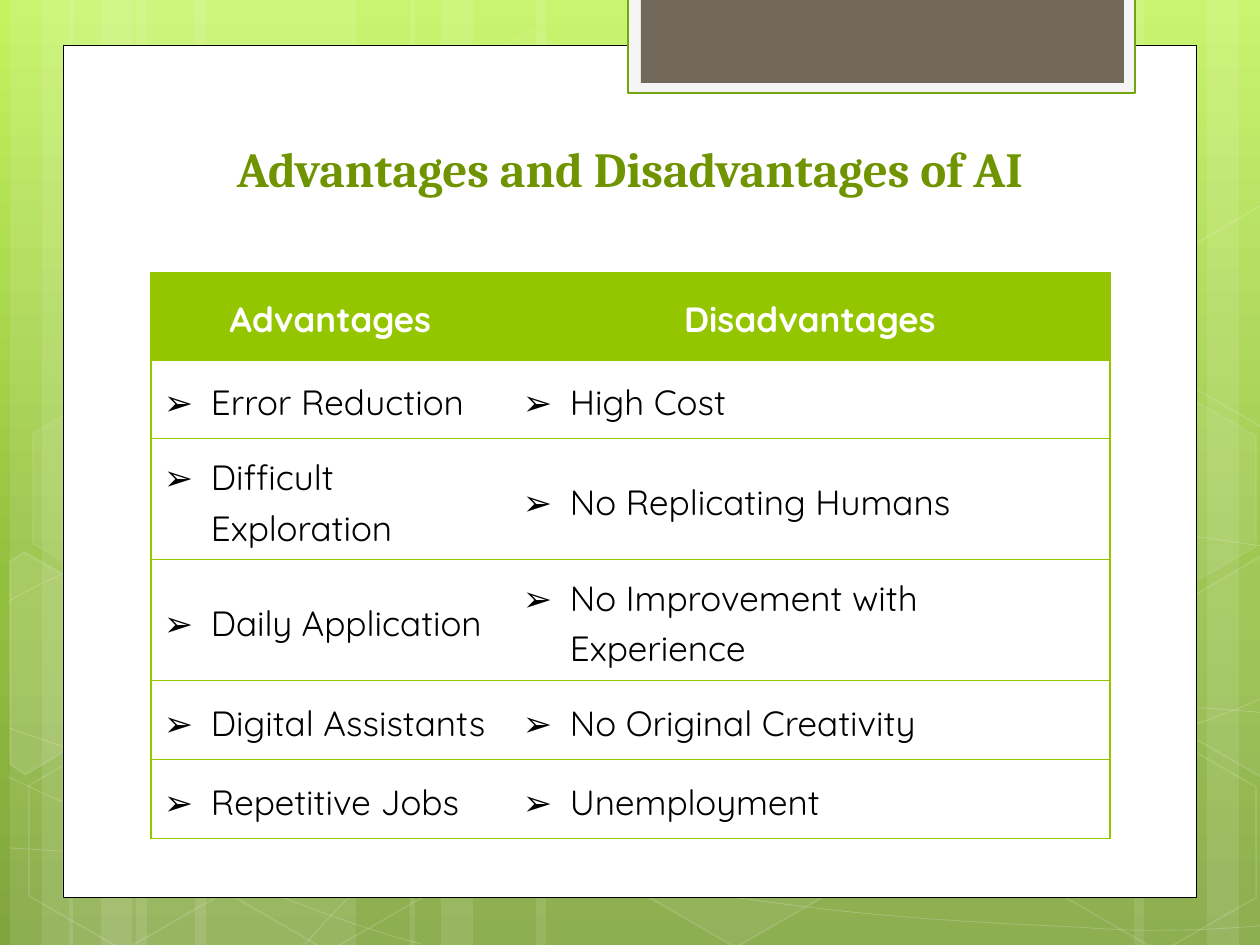
from math import cos, radians, sin

from lxml.etree import SubElement
from pptx import Presentation
from pptx.dml.color import RGBColor
from pptx.enum.shapes import MSO_SHAPE
from pptx.enum.text import MSO_ANCHOR, PP_ALIGN
from pptx.oxml.ns import qn
from pptx.util import Pt

SCALE = 914400 // 126
TILT = 30
COLORS = {"white": "FFFFFF", "black": "000000", "green": "94C600", "title": "6F9400",
          "frame": "74A510", "tab": "F5F5F5", "brown": "71685A"}
BACKDROP = [(0, "C3F35F"), (62, "93BF3F"), (100, "81A53E")]
BARS = [(136, 220), (10, 63), (42, 105), (195, 220), (69, 63), (101, 105),
        (924, 220), (1207, 63), (1134, 105), (536, 388), (410, 63), (441, 105)]
CURVES = [
    [(9, 848), (77, 852, 145, 856, 239, 854), (334, 853, 451, 851, 577, 838),
     (703, 825, 882, 801, 998, 777), (1113, 753, 1231, 716, 1269, 694)],
    [(9, 601), (45, 581, 82, 562, 152, 543), (224, 524, 326, 496, 437, 488),
     (549, 480, 685, 478, 824, 488), (963, 498, 1193, 537, 1269, 547)],
    [(8, 777), (160, 847, 311, 916, 421, 944)],
    [(9, 728), (48, 742, 88, 756, 161, 776), (234, 795, 344, 827, 450, 848),
     (554, 869, 687, 892, 791, 905), (896, 919, 1008, 924, 1075, 927),
     (1140, 932, 1158, 930, 1191, 930), (1223, 929, 1246, 927, 1269, 925)],
    [(305, 944), (328, 919, 350, 893, 381, 871), (411, 848, 454, 822, 489, 805),
     (524, 788, 546, 780, 592, 767), (638, 754, 722, 737, 766, 728),
     (811, 719, 818, 719, 857, 717), (896, 713, 958, 709, 1000, 708),
     (1045, 707, 1116, 708, 1116, 708), (1201, 708),
     (1223, 709, 1244, 711, 1256, 712), (1264, 713, 1264, 712, 1268, 713)],
]
HEXAGONS = [(421, 45, 4, 8), (626, 742, 6, 12)]
MORE_HEXAGONS = [(14, 745, 0, 12), (18, 393, 7, 8), (219, 746, 0, 12),
                 (949, 571, 10, 12), (1051, 747, 0, 12), (1051, 396, 7, 8)]
LEFT_CUT = ((45, 674), [(10, 561), (24, 552), (121, 607), (120, 718), (25, 774), (10, 765)], 10)
RIGHT_CUTS = [
    ((1241, 655), [(1167, 611), (1261, 556), (1271, 562), (1271, 772), (1263, 777), (1167, 722)], 4),
    ((1241, 304), [(1167, 261), (1261, 205), (1273, 212), (1271, 422), (1263, 427), (1167, 372)], 0),
]
ROWS = [("Advantages", "Disadvantages"), ("Error Reduction", "High Cost"),
        ("Difficult Exploration", "No Replicating Humans"),
        ("Daily Application", "No Improvement with Experience"),
        ("Digital Assistants", "No Original Creativity"),
        ("Repetitive Jobs", "Unemployment")]


def px(*lengths):
    """Turn pixels into EMU."""
    return [length * SCALE for length in lengths]


def set_color(fill, name, opacity):
    """Make a fill solid, see-through below 100 percent."""
    if not opacity:
        fill.background()
        return
    fill.solid()
    fill.fore_color.rgb = RGBColor.from_string(COLORS[name])
    if opacity < 100:
        color = fill.fore_color._xFill.find(qn("a:srgbClr"))
        SubElement(color, qn("a:alpha"), val=str(opacity * 1000))


def paint(shape, fill="white", opacity=100, line="white", width=0, line_opacity=100):
    """Set the fill and outline of a shape."""
    shape.shadow.inherit = False
    set_color(shape.fill, fill, opacity)
    set_color(shape.line.fill, line, line_opacity if width else 0)
    if width:
        shape.line.width = Pt(width)


def add_block(page, box, **style):
    """Add a painted rectangle."""
    paint(page.shapes.add_shape(MSO_SHAPE.RECTANGLE, *px(*box)), **style)


def add_outline(page, points, closed):
    """Add a freeform through the points."""
    builder = page.shapes.build_freeform(*points[0], scale=SCALE)
    builder.add_line_segments(points[1:], close=closed)
    return builder.convert_to_shape()


def add_curve(page, curve):
    """Add an open outline, bending each segment that has control points."""
    ends = [segment[-2:] for segment in curve]
    shape = add_outline(page, ends, False)
    left, top = min(x for x, y in ends), min(y for x, y in ends)
    lines = list(shape._element.iter(qn("a:lnTo")))
    for line, segment in zip(lines, curve[1:]):
        if len(segment) == 6:
            bend = SubElement(line.getparent(), qn("a:cubicBezTo"))
            for x, y in zip(segment[::2], segment[1::2]):
                SubElement(bend, qn("a:pt"), x=str(x - left), y=str(y - top))
            line.getparent().replace(line, bend)
    paint(shape, opacity=0, width=0.5, line_opacity=20)


def add_hexagon(page, left, top, opacity, line_opacity):
    """Add a tilted hexagon."""
    hexagon = page.shapes.add_shape(MSO_SHAPE.HEXAGON, *px(left, top, 220, 191))
    hexagon.adjustments[0] = 0.29
    hexagon.rotation = TILT
    paint(hexagon, opacity=opacity, width=1, line_opacity=line_opacity)


def add_cut_hexagon(page, center, points, opacity):
    """Add a tilted hexagon that ends at the slide edge."""
    c, s = cos(radians(TILT)), sin(radians(TILT))
    offsets = [(x - center[0], y - center[1]) for x, y in points]
    level = [(round(center[0] + x * c + y * s), round(center[1] - x * s + y * c))
             for x, y in offsets]
    shape = add_outline(page, level, True)
    shape.rotation = TILT
    paint(shape, opacity=opacity, width=1, line_opacity=12)


def add_backdrop(page):
    """Set the gradient and add the pale bars, curves and hexagons."""
    fill = page.background.fill
    fill.gradient()
    fill.gradient_angle = 270
    stops = next(page.element.iter(qn("a:gsLst")))
    for stop in list(stops):
        stops.remove(stop)
    for position, color in BACKDROP:
        stop = SubElement(stops, qn("a:gs"), pos=str(position * 1000))
        SubElement(stop, qn("a:srgbClr"), val=color)
    for left, width in BARS:
        add_block(page, (left, 0, width, 945), opacity=10)
    for curve in CURVES:
        add_curve(page, curve)
    for hexagon in HEXAGONS:
        add_hexagon(page, *hexagon)
    add_cut_hexagon(page, *LEFT_CUT)
    for hexagon in MORE_HEXAGONS:
        add_hexagon(page, *hexagon)
    for hexagon in RIGHT_CUTS:
        add_cut_hexagon(page, *hexagon)


def style_text(para, font, size, color, bold):
    """Set the font of a paragraph."""
    para.font.name = font
    para.font.size = Pt(size)
    para.font.bold = bold
    para.font.color.rgb = RGBColor.from_string(COLORS[color])


def add_title(page, text):
    """Add the centred heading."""
    frame = page.shapes.add_textbox(*px(211, 132, 838, 72)).text_frame
    frame.word_wrap = False
    frame.vertical_anchor = MSO_ANCHOR.MIDDLE
    para = frame.paragraphs[0]
    para.text = text
    para.alignment = PP_ALIGN.CENTER
    style_text(para, "Cambria", 28, "title", True)


def set_borders(cell, sides):
    """Draw the given cell edges and clear the others."""
    properties = cell._tc.get_or_add_tcPr()
    for index, side in enumerate("LRTB"):
        line = SubElement(properties, qn("a:ln" + side), w=str(Pt(0.75)))
        if side in sides:
            solid = SubElement(line, qn("a:solidFill"))
            SubElement(solid, qn("a:srgbClr"), val=COLORS["green"])
        else:
            SubElement(line, qn("a:noFill"))
        properties.insert(index, line)


def fill_cell(cell, text, header):
    """Write one header or bulleted cell."""
    cell.vertical_anchor = MSO_ANCHOR.MIDDLE
    cell.margin_left, cell.margin_top = px(*((24, 13) if header else (13, 10)))
    cell.margin_right, cell.margin_bottom = cell.margin_left, cell.margin_top
    set_color(cell.fill, "green", 100 if header else 0)
    para = cell.text_frame.paragraphs[0]
    para.text = text
    para.line_spacing = 1.15
    style_text(para, "Quicksand", 20, "white" if header else "black", header)
    if header:
        para.alignment = PP_ALIGN.CENTER
        return
    indent = px(47)[0]
    properties = para._p.get_or_add_pPr()
    properties.set("marL", str(indent))
    properties.set("indent", str(-indent))
    properties.insert(1, SubElement(properties, qn("a:buFont"), typeface="Quicksand"))
    properties.insert(2, SubElement(properties, qn("a:buChar"), char="➢"))


def add_comparison(page):
    """Add the two-column table."""
    holder = page.shapes.add_table(len(ROWS), 2, *px(150, 273, 959, 554))
    table = holder.table
    table.horz_banding = False
    for column, width in zip(table.columns, px(359, 600)):
        column.width = width
    for r, texts in enumerate(ROWS):
        table.rows[r].height = px(79 if r else 87)[0]
        for c, text in enumerate(texts):
            fill_cell(table.cell(r, c), text, r == 0)
            set_borders(table.cell(r, c), "TB" + "LR"[c])
    holder.left, holder.top, holder.width, holder.height = px(151, 273, 959, 554)


def main():
    """Build and save the slide."""
    deck = Presentation()
    deck.slide_width, deck.slide_height = px(1260, 945)
    page = deck.slides.add_slide(deck.slide_layouts[6])
    add_backdrop(page)
    add_block(page, (63, 45, 1134, 853), line="black", width=0.5)
    add_block(page, (628, -3, 507, 96), fill="tab", line="frame", width=1.25)
    add_block(page, (641, -3, 483, 86), fill="brown")
    add_comparison(page)
    add_title(page, "Advantages and Disadvantages of AI")
    deck.save("out.pptx")


main()
